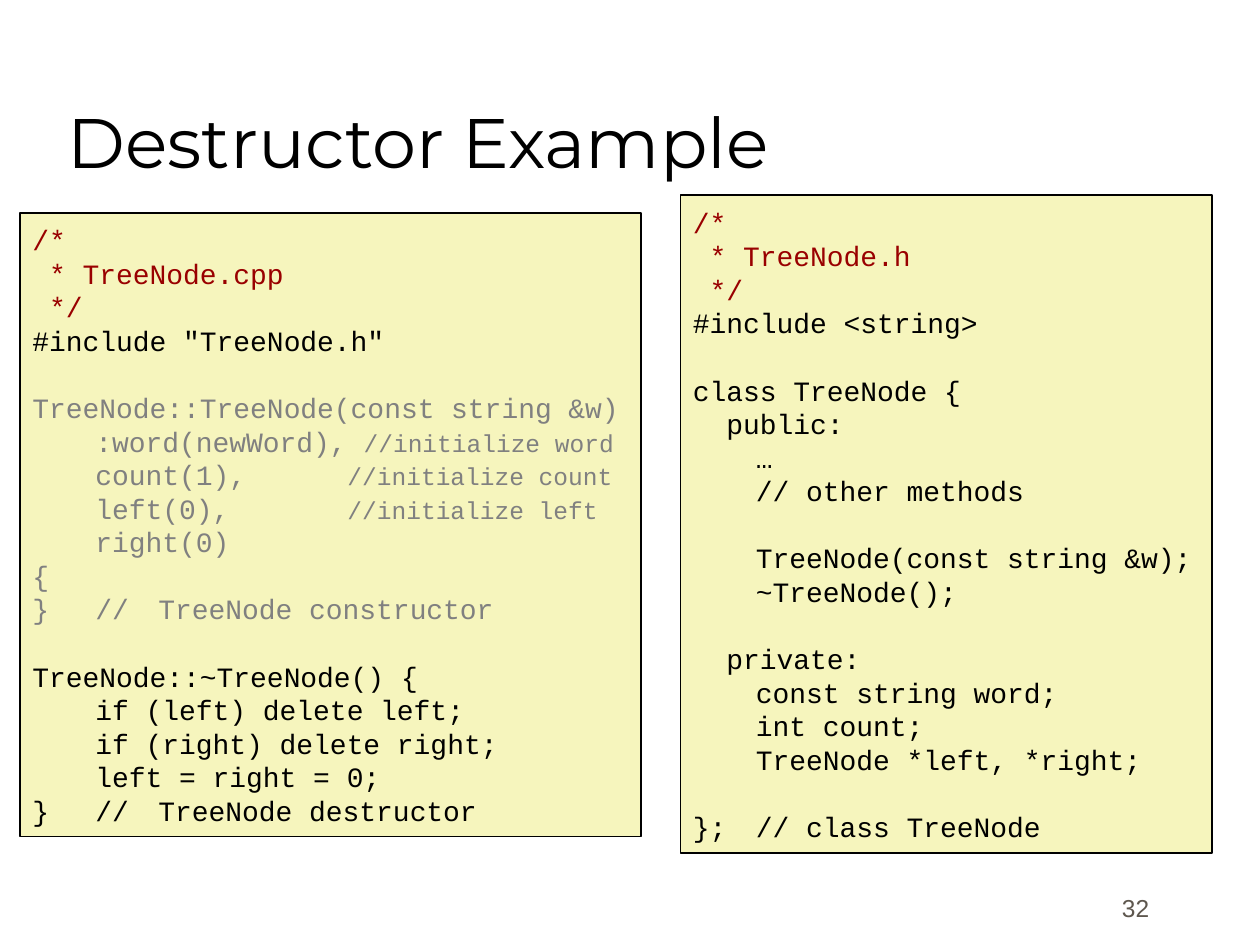
"""Build the Destructor Example slide with two code panels."""
from lxml import etree
from pptx import Presentation
from pptx.dml.color import RGBColor
from pptx.enum import shapes, text
from pptx.oxml import ns
from pptx.util import Inches, Pt

COLORS = {"black": "000000", "comment": "990000", "faded": "808080",
          "panel": "F6F5BD", "number": "5E574E"}
CODE_FONT = "Courier New"
CODE_SIZE = 16
NOTE_SIZE = 14
LINE_HEIGHT = 19.2
TAB_STOPS = [0.5 * step for step in range(1, 6)]

SOURCE_BLOCKS = [
    [("comment", ["/* ", " * TreeNode.cpp", " */"]),
     ("black", ['#include "TreeNode.h"'])],
    [("faded", ["TreeNode::TreeNode(const string &w)",
                ("\t:word(newWord), ", "//initialize word"),
                ("\tcount(1),\t\t", "//initialize count"),
                ("\tleft(0),\t\t", "//initialize left"),
                "\tright(0)", "{", "}\t//\tTreeNode constructor"])],
    [("black", ["TreeNode::~TreeNode() {", "\tif (left) delete left;",
                "\tif (right) delete right;", "\tleft = right = 0;",
                "}\t//\tTreeNode destructor"])],
]
HEADER_BLOCKS = [
    [("comment", ["/* ", " * TreeNode.h ", " */"]),
     ("black", ["#include <string>"])],
    [("black", ["class TreeNode {", "  public:", "\t…", "\t// other methods"])],
    [("black", ["\tTreeNode(const string &w);", "\t~TreeNode();"])],
    [("black", ["  private:", "\tconst string word;", "\tint count;",
                "\tTreeNode *left, *right;"])],
    [("black", ["};\t// class TreeNode"])],
]
PANELS = [((0.16, 1.69, 4.93, 4.95), SOURCE_BLOCKS),
          ((5.4, 1.55, 4.22, 5.22), HEADER_BLOCKS)]
LABELS = [
    ((0.44, 0.25, 8.5, 1.25), "Destructor Example", text.PP_ALIGN.LEFT,
     {"font": "Montserrat", "size": 40, "color": "black"}),
    ((7.22, 6.81, 2, 0.56), "32", text.PP_ALIGN.RIGHT,
     {"font": "Arial", "size": 14, "color": "number"}),
]


def add_text(paragraph, content, font=CODE_FONT, size=CODE_SIZE, color="black"):
    run = paragraph.add_run()
    run.text = content
    run.font.name = font
    run.font.size = Pt(size)
    run.font.color.rgb = RGBColor.from_string(COLORS[color])


def add_tab_stops(paragraph):
    properties = paragraph._p.get_or_add_pPr()
    tab_list = etree.SubElement(properties, ns.qn("a:tabLst"))
    for stop in TAB_STOPS:
        etree.SubElement(tab_list, ns.qn("a:tab"), pos=str(Inches(stop)), algn="l")


def add_panel(slide, box, blocks):
    shape = slide.shapes.add_shape(shapes.MSO_SHAPE.RECTANGLE, *map(Inches, box))
    shape.shadow.inherit = False
    shape.fill.solid()
    shape.fill.fore_color.rgb = RGBColor.from_string(COLORS["panel"])
    shape.line.color.rgb = RGBColor.from_string(COLORS["black"])
    shape.line.width = Pt(1)
    frame = shape.text_frame
    frame.word_wrap = True
    frame.vertical_anchor = text.MSO_ANCHOR.MIDDLE
    paragraph = None
    for block in blocks:
        starts_block = paragraph is not None
        for color, lines in block:
            for line in lines:
                paragraph = frame.add_paragraph() if paragraph else frame.paragraphs[0]
                paragraph.alignment = text.PP_ALIGN.LEFT
                paragraph.line_spacing = Pt(LINE_HEIGHT)
                if starts_block:
                    paragraph.space_before = Pt(LINE_HEIGHT)
                    starts_block = False
                add_tab_stops(paragraph)
                code, note = line if isinstance(line, tuple) else (line, "")
                add_text(paragraph, code, color=color)
                if note:
                    add_text(paragraph, note, size=NOTE_SIZE, color=color)


def add_label(slide, box, content, alignment, style):
    frame = slide.shapes.add_textbox(*map(Inches, box)).text_frame
    frame.word_wrap = True
    frame.vertical_anchor = text.MSO_ANCHOR.BOTTOM
    paragraph = frame.paragraphs[0]
    paragraph.alignment = alignment
    add_text(paragraph, content, **style)


presentation = Presentation()
presentation.slide_width = Inches(10)
presentation.slide_height = Inches(7.5)
slide = presentation.slides.add_slide(presentation.slide_layouts[6])
title, page_number = LABELS
add_label(slide, *title)
for box, blocks in PANELS:
    add_panel(slide, box, blocks)
add_label(slide, *page_number)
presentation.save("out.pptx")
